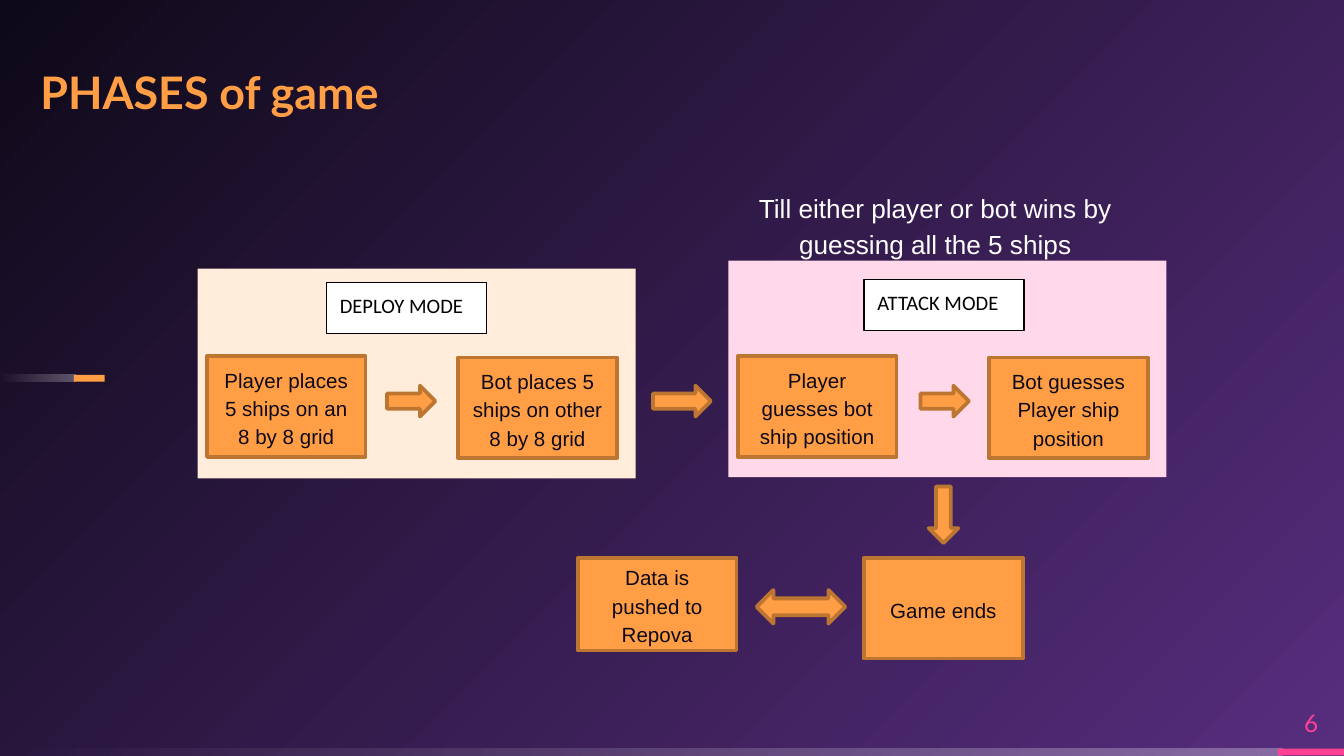
"""Build the slide showing the phases of a ship-guessing game as a flow chart."""
from dataclasses import dataclass

from lxml import etree
from pptx import Presentation
from pptx import util as u
from pptx.dml.color import RGBColor
from pptx.enum import shapes, text
from pptx.oxml.ns import qn

ORANGE, BROWN, INK, PINK = "FF9E44", "BD7532", "0E0918", "FF4093"
WHITE, BLACK = "FFFFFF", "000000"
MSO = shapes.MSO_SHAPE
LEFT, CENTER = text.PP_ALIGN.LEFT, text.PP_ALIGN.CENTER
TOP, MIDDLE = text.MSO_ANCHOR.TOP, text.MSO_ANCHOR.MIDDLE


@dataclass(frozen=True)
class Box:
    x: float
    y: float
    w: float
    h: float


@dataclass(frozen=True)
class Style:
    size: float
    font: str
    color: str
    bold: bool = False
    align: text.PP_ALIGN = CENTER
    anchor: text.MSO_ANCHOR = MIDDLE
    spacing: float = 1.15
    after: float = 10
    inset: bool = True


@dataclass(frozen=True)
class Step:
    label: str
    box: Box


@dataclass(frozen=True)
class Arrow:
    kind: shapes.MSO_SHAPE
    box: Box


@dataclass(frozen=True)
class Mode:
    label: str
    panel: Box
    color: str
    tag: Box


STEP = Style(11, "Arial", INK)
TAG = Style(11, "Calibri", BLACK, align=LEFT, anchor=TOP)
NOTE = Style(14, "Arial", WHITE, anchor=TOP)
TITLE = Style(24, "Lato", ORANGE, bold=True, align=LEFT, spacing=0.9, after=0, inset=False)
NUMBER = Style(13, "Lato", PINK, spacing=1, after=0, inset=False)

MODES = [
    Mode("ATTACK MODE", Box(5.42, 1.94, 3.26, 1.61), "FFD9E9", Box(6.43, 2.08, 1.19, 0.38)),
    Mode("DEPLOY MODE", Box(1.47, 2, 3.26, 1.56), "FFECDA", Box(2.43, 2.1, 1.19, 0.38)),
]
STEPS = [
    Step("Player places 5 ships on an 8 by 8 grid", Box(1.54, 2.65, 1.18, 0.75)),
    Step("Bot places 5 ships on other 8 by 8 grid", Box(3.41, 2.66, 1.18, 0.75)),
    Step("Player guesses bot ship position", Box(5.49, 2.65, 1.18, 0.75)),
    Step("Bot guesses Player ship position", Box(7.36, 2.66, 1.18, 0.75)),
    Step("Game ends", Box(6.43, 4.15, 1.18, 0.75)),
    Step("Data is pushed to Repova", Box(4.3, 4.15, 1.18, 0.69)),
]
ARROWS = [
    Arrow(MSO.RIGHT_ARROW, Box(2.88, 2.87, 0.36, 0.23)),
    Arrow(MSO.RIGHT_ARROW, Box(4.86, 2.87, 0.43, 0.23)),
    Arrow(MSO.RIGHT_ARROW, Box(6.85, 2.87, 0.36, 0.23)),
    Arrow(MSO.DOWN_ARROW, Box(6.91, 3.62, 0.22, 0.42)),
    Arrow(MSO.LEFT_RIGHT_ARROW, Box(5.63, 4.39, 0.66, 0.25)),
]


def rgb(value: str) -> RGBColor:
    return RGBColor.from_string(value)


def place(box: Box) -> list[u.Length]:
    return [u.Inches(v) for v in (box.x, box.y, box.w, box.h)]


def write(sp, words: str, style: Style) -> None:
    tf = sp.text_frame
    tf.text = words
    tf.word_wrap = True
    tf.vertical_anchor = style.anchor
    if not style.inset:
        tf.margin_left = tf.margin_top = tf.margin_right = tf.margin_bottom = 0
    p = tf.paragraphs[0]
    p.alignment = style.align
    p.line_spacing = style.spacing
    p.space_after = u.Pt(style.after)
    font = p.runs[0].font
    font.size, font.name, font.bold = u.Pt(style.size), style.font, style.bold
    font.color.rgb = rgb(style.color)


def add_shape(s, kind: shapes.MSO_SHAPE, box: Box, fill: str, line: str = "", width: float = 0):
    sp = s.shapes.add_shape(kind, *place(box))
    sp.shadow.inherit = False
    sp.fill.solid()
    sp.fill.fore_color.rgb = rgb(fill)
    if line:
        sp.line.color.rgb = rgb(line)
        sp.line.width = u.Pt(width)
    else:
        sp.line.fill.background()
    return sp


def add_orange(s, kind: shapes.MSO_SHAPE, box: Box):
    sp = add_shape(s, kind, box, ORANGE, BROWN, 2)
    etree.SubElement(sp._element.spPr.find(qn("a:ln")), qn("a:round"))
    return sp


def add_text(s, box: Box, words: str, style: Style):
    sp = s.shapes.add_textbox(*place(box))
    write(sp, words, style)
    return sp


def set_gradient(fill, colors: list[str]) -> None:
    fill.gradient()
    for stop, color, position in zip(fill.gradient_stops, colors, (0, 1)):
        stop.color.rgb = rgb(color)
        stop.position = position


def add_fading_bar(s, box: Box) -> None:
    sp = add_shape(s, MSO.RECTANGLE, box, WHITE)
    set_gradient(sp.fill, [WHITE, WHITE])
    sp.fill.gradient_angle = 180
    for color, alpha in zip(sp._element.spPr.iter(qn("a:srgbClr")), ("30000", "0")):
        etree.SubElement(color, qn("a:alpha"), val=alpha)


def set_background(s) -> None:
    set_gradient(s.background.fill, ["572D7E", INK])
    grad = next(s._element.iter(qn("a:gradFill")))
    grad.remove(grad.find(qn("a:lin")))
    circle = etree.SubElement(grad, qn("a:path"), path="circle")
    etree.SubElement(circle, qn("a:fillToRect"), l="100000", t="100000")


def main() -> None:
    prs = Presentation()
    prs.slide_width = u.Inches(10)
    prs.slide_height = u.Inches(10 * 9 / 16)
    s = prs.slides.add_slide(prs.slide_layouts[6])
    set_background(s)

    add_fading_bar(s, Box(0, 5.57, 9.54, 0.05))
    add_shape(s, MSO.RECTANGLE, Box(9.51, 5.57, 0.49, 0.05), PINK)
    add_fading_bar(s, Box(0, 2.79, 0.56, 0.05))
    add_shape(s, MSO.RECTANGLE, Box(0.55, 2.79, 0.23, 0.05), ORANGE)
    add_text(s, Box(9.51, 5.19, 0.49, 0.38), "6", NUMBER)

    for mode in MODES:
        add_shape(s, MSO.RECTANGLE, mode.panel, mode.color)
        write(add_shape(s, MSO.RECTANGLE, mode.tag, WHITE, BLACK, 0.75), mode.label, TAG)
    for step in STEPS:
        write(add_orange(s, MSO.RECTANGLE, step.box), step.label, STEP)
    for arrow in ARROWS:
        add_orange(s, arrow.kind, arrow.box)

    add_text(s, Box(0.3, -0.12, 4.21, 1.66), "PHASES of game", TITLE)
    note = add_text(s, Box(5.33, 1.35, 3.26, 0.64),
                    "Till either player or bot wins by guessing all the 5 ships", NOTE)
    note.text_frame.auto_size = text.MSO_AUTO_SIZE.SHAPE_TO_FIT_TEXT
    prs.save("out.pptx")


if __name__ == "__main__":
    main()
